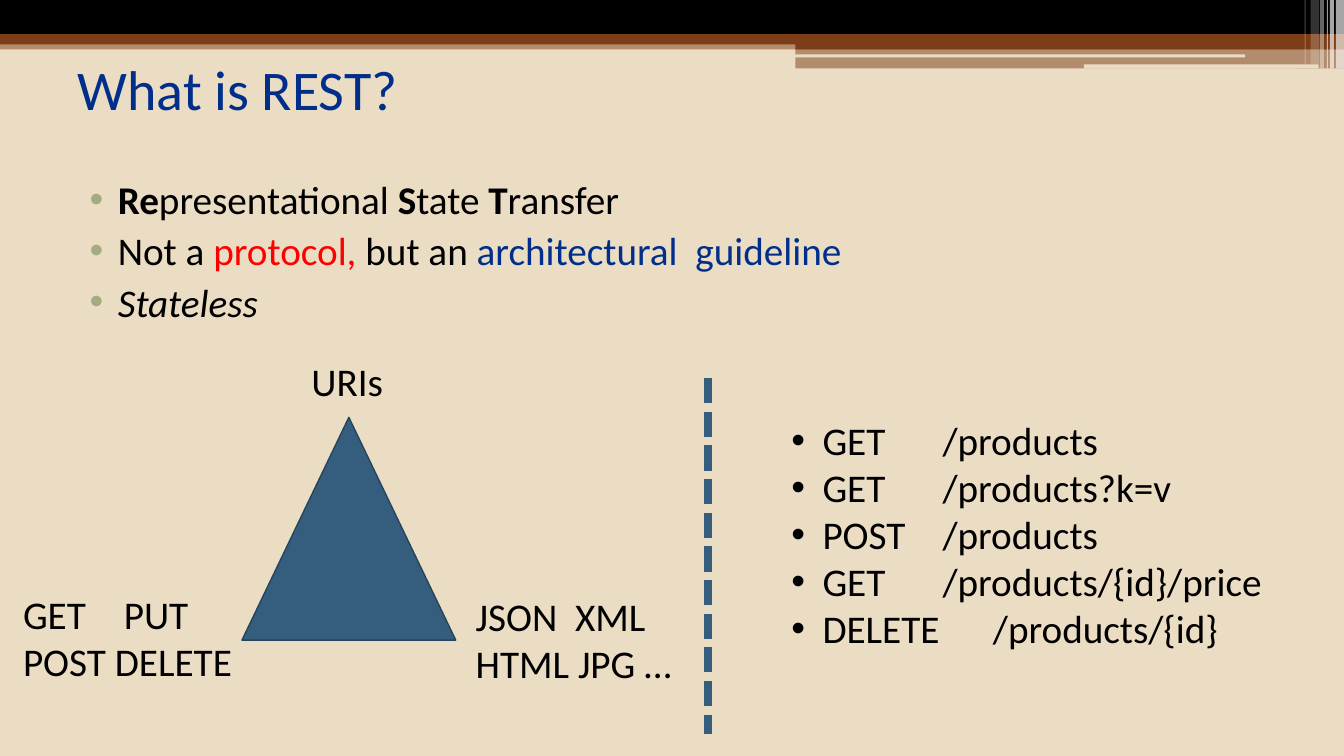
from lxml import etree
from pptx import Presentation
from pptx.dml.color import RGBColor
from pptx.enum.dml import MSO_LINE
from pptx.enum.shapes import MSO_CONNECTOR, MSO_SHAPE
from pptx.enum.text import MSO_ANCHOR, MSO_AUTO_SIZE, PP_ALIGN
from pptx.oxml.ns import qn
from pptx.util import Inches, Pt

RECT = MSO_SHAPE.RECTANGLE
ROUNDED = MSO_SHAPE.ROUNDED_RECTANGLE
TRIANGLE = MSO_SHAPE.ISOSCELES_TRIANGLE
DASH = MSO_LINE.SQUARE_DOT
FONT = "Calibri"
COLORS = {
    "sand": "EBDDC3", "brown": "7B3C16", "black": "000000", "white": "FFFFFF",
    "blue": "002E8A", "red": "FF0000", "sage": "A5AB81",
    "steel": "345D7E", "steel_dark": "26455D",
}
BANDS = [
    (RECT, 0, 0.4, 13.33, 0.09, "brown", 50),
    (RECT, 0, 0, 13.33, 0.34, "black", 100),
    (RECT, 0, 0.34, 13.33, 0.1, "brown", 100),
    (RECT, 7.89, 0.39, 5.44, 0.1, "brown", 100),
    (RECT, 7.89, 0.48, 5.44, 0.2, "brown", 50),
    (ROUNDED, 7.88, 0.54, 4.47, 0.03, "sand", 100),
    (ROUNDED, 10.75, 0.64, 2.33, 0.04, "sand", 100),
]
STRIPES = [
    (13.25, 0.08, 0.68, 65), (13.19, 0.04, 0.68, 65), (13.16, 0.01, 0.68, 60),
    (13.09, 0.04, 0.68, 40), (13, 0.08, 0.64, 20), (12.94, 0.01, 0.64, 30),
]
DEFINITION = [
    [("Re", "black", "b"), ("presentational ", "black", ""), ("S", "black", "b"),
     ("tate ", "black", ""), ("T", "black", "b"), ("ransfer", "black", "")],
    [("Not a ", "black", ""), ("protocol, ", "red", ""), ("but an ", "black", ""),
     ("architectural  guideline", "blue", "")],
    [("Stateless", "black", "i")],
]
ENDPOINTS = [
    ("GET", "/products"), ("GET", "/products?k=v"), ("POST", "/products"),
    ("GET", "/products/{id}/price"), ("DELETE", "/products/{id}"),
]
CORNERS = [
    ("URIs", 2.99, 3.5, 0.92, 0.57),
    ("GET\tPUT\vPOST DELETE", 0.13, 5.81, 2.28, 1.04),
    ("JSON  XML\vHTML JPG …", 4.62, 5.83, 2.48, 1.04),
]


def rgb(name):
    return RGBColor.from_string(COLORS[name])


def style_run(r, color="black", size=28, style=""):
    r.font.name = FONT
    r.font.size = Pt(size)
    r.font.color.rgb = rgb(color)
    r.font.bold = "b" in style
    r.font.italic = "i" in style


def add_filled(s, kind, x, y, w, h, color, opacity=100):
    sp = s.shapes.add_shape(kind, Inches(x), Inches(y), Inches(w), Inches(h))
    sp.shadow.inherit = False
    sp.fill.solid()
    sp.fill.fore_color.rgb = rgb(color)
    sp.line.fill.background()
    if opacity < 100:
        clr = sp.fill._xPr.find(".//" + qn("a:srgbClr"))
        etree.SubElement(clr, qn("a:alpha"), val=str(opacity * 1000))
    return sp


def add_box(s, x, y, w, h):
    tf = s.shapes.add_textbox(Inches(x), Inches(y), Inches(w), Inches(h)).text_frame
    tf.word_wrap = True
    return tf


def add_paragraph(tf, index):
    return tf.paragraphs[0] if index == 0 else tf.add_paragraph()


def set_bullet(p, indent, hanging, color):
    pPr = p._p.get_or_add_pPr()
    pPr.set("marL", str(Inches(indent)))
    pPr.set("indent", str(-Inches(hanging)))
    clr = etree.SubElement(pPr, qn("a:buClr"))
    etree.SubElement(clr, qn("a:srgbClr"), val=COLORS[color])
    etree.SubElement(pPr, qn("a:buFont"), typeface="Arial")
    etree.SubElement(pPr, qn("a:buChar"), char="•")


def add_header(s):
    for band in BANDS:
        add_filled(s, *band)
    for x, w, h, opacity in STRIPES:
        add_filled(s, RECT, x, 0, w, h, "white", opacity)


def set_title(s, text):
    sp = s.shapes.title
    sp.left, sp.top, sp.width, sp.height = (Inches(v) for v in (0.67, 0.29, 12, 1.17))
    tf = sp.text_frame
    tf.text = text
    tf.auto_size = MSO_AUTO_SIZE.NONE
    tf.vertical_anchor = MSO_ANCHOR.MIDDLE
    p = tf.paragraphs[0]
    p.alignment = PP_ALIGN.LEFT
    style_run(p.runs[0], "blue", 40)


def add_definition(s):
    tf = add_box(s, 0.67, 1.69, 12.52, 1.7)
    for i, parts in enumerate(DEFINITION):
        p = add_paragraph(tf, i)
        p.space_before = Pt(3)
        set_bullet(p, 0.4, 0.28, "sage")
        for text, color, style in parts:
            r = p.add_run()
            r.text = text
            style_run(r, color, style=style)


def add_triangle(s):
    sp = add_filled(s, TRIANGLE, 2.4, 4.14, 2.12, 2.21, "steel")
    sp.line.color.rgb = rgb("steel_dark")
    sp.line.width = Pt(1)
    for text, *place in CORNERS:
        tf = add_box(s, *place)
        tf.text = text
        for r in tf.paragraphs[0].runs:
            style_run(r)


def add_endpoints(s):
    tf = add_box(s, 7.75, 4.08, 5.5, 2.46)
    for i, (method, route) in enumerate(ENDPOINTS):
        p = add_paragraph(tf, i)
        p.text = f"{method} \t{route}"
        set_bullet(p, 0.31, 0.31, "black")
        style_run(p.runs[0])


def add_divider(s):
    line = s.shapes.add_connector(MSO_CONNECTOR.STRAIGHT, Inches(7.02), Inches(3.75),
                                  Inches(7.02), Inches(7.28))
    line.line.color.rgb = rgb("steel")
    line.line.width = Pt(6)
    line.line.dash_style = DASH
    etree.SubElement(line._element.spPr, qn("a:effectLst"))


def main():
    prs = Presentation()
    prs.slide_width = Inches(13.33)
    prs.slide_height = Inches(7.5)
    s = prs.slides.add_slide(prs.slide_layouts[5])
    s.background.fill.solid()
    s.background.fill.fore_color.rgb = rgb("sand")
    add_header(s)
    set_title(s, "What is REST?")
    add_definition(s)
    add_triangle(s)
    add_endpoints(s)
    add_divider(s)
    prs.save("out.pptx")


if __name__ == "__main__":
    main()
